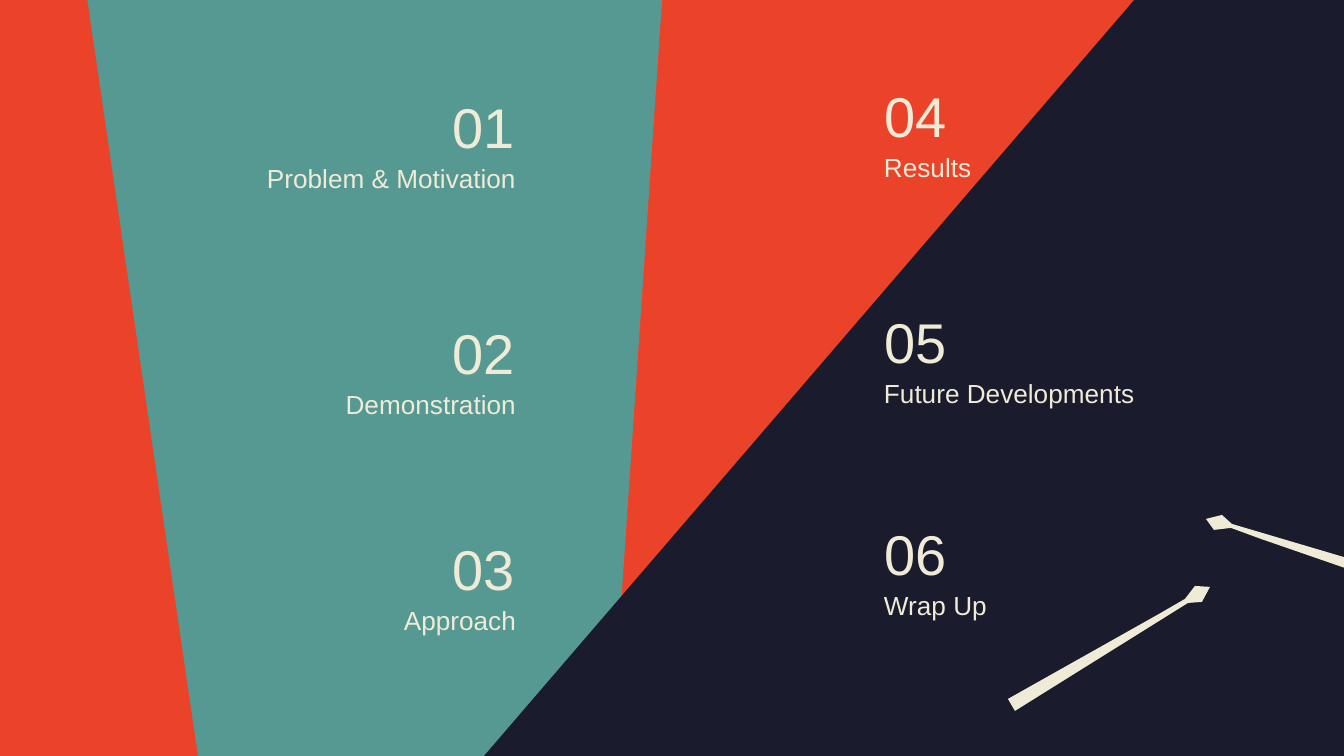
from pptx import Presentation
from pptx.dml.color import RGBColor
from pptx.enum.text import MSO_ANCHOR as Anchor, PP_ALIGN as Align
from pptx.util import Emu, Pt

PX = 914400 / 134.4
RED = RGBColor(0xEB, 0x43, 0x2A)
TEAL = RGBColor(0x56, 0x99, 0x92)
NAVY = RGBColor(0x1A, 0x1B, 0x2C)
CREAM = RGBColor(0xEF, 0xEB, 0xD7)


def px(n):
    return Emu(round(n * PX))


def add_text(text, box, size, align, anchor, top_pad):
    frame = slide.shapes.add_textbox(*map(px, box)).text_frame
    frame.word_wrap = True
    frame.vertical_anchor = anchor
    frame.margin_left = frame.margin_right = frame.margin_bottom = px(13)
    frame.margin_top = px(top_pad)
    para = frame.paragraphs[0]
    para.text = text
    para.alignment = align
    para.font.name = "Arial"
    para.font.size = Pt(size)
    para.font.color.rgb = CREAM


deck = Presentation()
deck.slide_width, deck.slide_height = px(1344), px(756)
slide = deck.slides.add_slide(deck.slide_layouts[6])
slide.background.fill.solid()
slide.background.fill.fore_color.rgb = RED

# Two background panels, then the pair of drumsticks
outlines = [
    (TEAL, [(85, -17), (200, 769), (610, 769), (664, -27)]),
    (NAVY, [(1450, 762), (478, 763), (1154, -23), (1452, -20)]),
    (CREAM, [(1423, 595), (1428, 582), (1232, 524), (1222, 515),
             (1206, 519), (1214, 530), (1231, 528), (1261, 539)]),
    (CREAM, [(1015, 711), (1188, 603), (1202, 602), (1210, 587),
             (1195, 586), (1185, 599), (1159, 614), (1008, 699)]),
]
for color, points in outlines:
    pen = slide.shapes.build_freeform(*points[0], scale=PX)
    pen.add_line_segments(points[1:], close=True)
    shape = pen.convert_to_shape()
    shape.shadow.inherit = False
    shape.fill.solid()
    shape.fill.fore_color.rgb = color
    shape.line.fill.background()

# Each column: number left, label left, alignment, (top, label) rows
columns = [
    (273, 198, Align.RIGHT,
     [(74, "Problem & Motivation"), (300, "Demonstration"), (516, "Approach")]),
    (871, 871, Align.LEFT,
     [(63, "Results"), (289, "Future Developments"), (501, "Wrap Up")]),
]
count = 0
for num_x, label_x, align, rows in columns:
    for top, label in rows:
        count += 1
        add_text(label, (label_x, top + 81, 331, 52), 14, align, Anchor.BOTTOM, 13)
        add_text(f"{count:02}", (num_x, top, 255, 85), 30, align, Anchor.TOP, 19)

deck.save("out.pptx")
